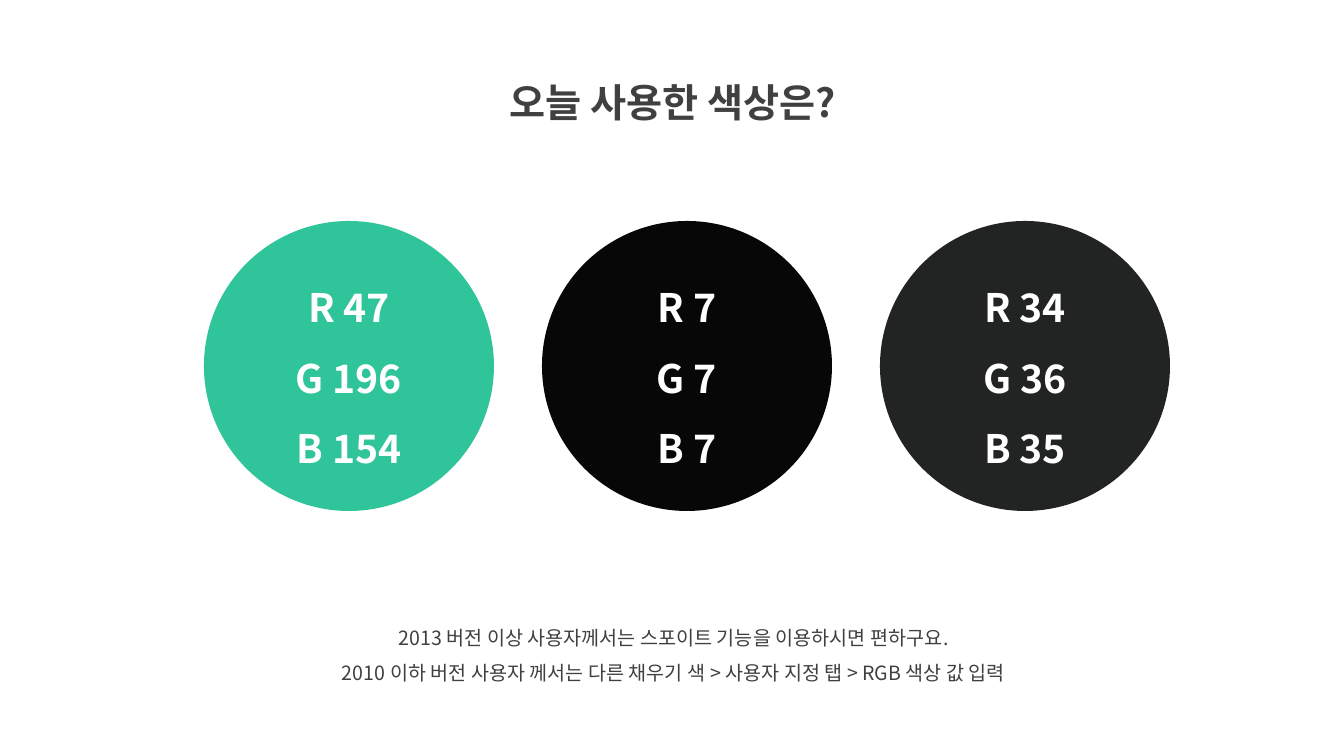
from lxml.etree import SubElement
from pptx import Presentation
from pptx.dml.color import RGBColor
from pptx.enum.shapes import MSO_SHAPE
from pptx.enum.text import MSO_ANCHOR, MSO_AUTO_SIZE, PP_ALIGN
from pptx.oxml.ns import qn
from pptx.util import Pt

FONT = "Noto Sans CJK KR"
GREY = "404040"
WHITE = "FFFFFF"


def px(*lengths):
    return [round(length * 914400 / 100.8) for length in lengths]


def write(frame, lines, size, color, bold, anchor, auto_size):
    frame.text = "\n".join(lines)
    frame.word_wrap = True
    frame.vertical_anchor = anchor
    frame.auto_size = auto_size
    for paragraph in frame.paragraphs:
        paragraph.alignment = PP_ALIGN.CENTER
        paragraph.line_spacing = 1.5
        paragraph.font.size = Pt(size)
        paragraph.font.bold = bold
        paragraph.font.color.rgb = RGBColor.from_string(color)
        paragraph.font.name = FONT
        SubElement(paragraph.font._rPr, qn("a:ea")).set("typeface", FONT)


deck = Presentation()
deck.slide_width, deck.slide_height = px(1344, 756)
slide = deck.slides.add_slide(deck.slide_layouts[5])

title = slide.shapes.title
title.left, title.top, title.width, title.height = px(439, 50, 467, 73)
write(title.text_frame, ["오늘 사용한 색상은?"], 28, GREY, True,
      MSO_ANCHOR.TOP, MSO_AUTO_SIZE.SHAPE_TO_FIT_TEXT)

for column, swatch_color in enumerate(["2FC49A", "070707", "222423"]):
    swatch = slide.shapes.add_shape(
        MSO_SHAPE.OVAL, *px(204 + 338 * column, 221, 290, 290))
    swatch.shadow.inherit = False
    swatch.fill.solid()
    swatch.fill.fore_color.rgb = RGBColor.from_string(swatch_color)
    swatch.line.fill.background()
    channels = zip("RGB", RGBColor.from_string(swatch_color))
    write(swatch.text_frame, [f"{letter} {value}" for letter, value in channels],
          28, WHITE, True, MSO_ANCHOR.MIDDLE, MSO_AUTO_SIZE.NONE)

instructions = slide.shapes.add_textbox(*px(271, 609, 805, 82))
write(instructions.text_frame, [
    "2013 버전 이상 사용자께서는 스포이트 기능을 이용하시면 편하구요.",
    "2010 이하 버전 사용자 께서는 다른 채우기 색 > 사용자 지정 탭 > RGB 색상 값 입력",
], 14, GREY, False, MSO_ANCHOR.TOP, MSO_AUTO_SIZE.SHAPE_TO_FIT_TEXT)

deck.save("out.pptx")
